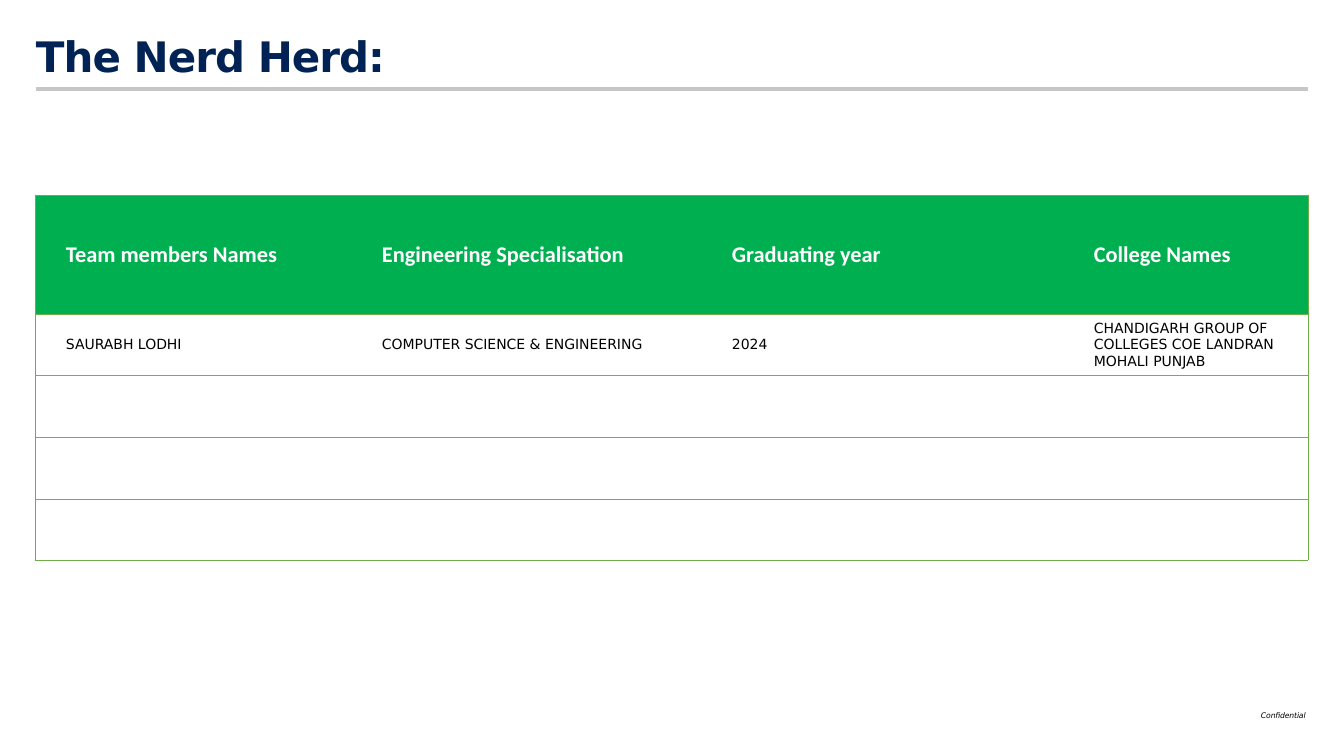
import pptx
import pptx.util
import pptx.dml.color
import pptx.enum.shapes
import pptx.enum.text
from pptx.oxml import parse_xml
from pptx.oxml.ns import nsdecls

COLORS = {
    "navy": "002254", "black": "000000", "white": "FFFFFF", "rule": "C6C6C6",
    "header": "00B050", "frame": "70AD47", "divider": "8C9A84",
}
ROWS = [
    ["Team members Names", "Engineering Specialisation", "Graduating year", "College Names"],
    ["SAURABH LODHI", "COMPUTER SCIENCE & ENGINEERING", "2024",
     "CHANDIGARH GROUP OF COLLEGES COE LANDRAN MOHALI PUNJAB"],
    [""] * 4,
    [""] * 4,
    [""] * 4,
]
COLUMN_WIDTHS = [316, 350, 362, 245]
ROW_HEIGHTS = [119, 61, 62, 62, 61]


def px(length):
    return pptx.util.Emu(round(length * 914400 / 100.8))


def rgb(name):
    return pptx.dml.color.RGBColor.from_string(COLORS[name])


class SlideBuilder:
    """Draw styled elements on one slide, with lengths in px."""

    def __init__(self, page, font):
        self.page = page
        self.font = font

    def span(self, para, text, size, color, font=None, bold=False, italic=False, spacing=0):
        span = para.add_run()
        span.text = text
        span.font.name = font or self.font
        span.font.size = pptx.util.Pt(size)
        span.font.bold = bold
        span.font.italic = italic
        span.font.color.rgb = rgb(color)
        if spacing:
            span.font._element.set("spc", str(spacing))

    def text(self, left, top, width, height, text, size, color, **style):
        box = self.page.shapes.add_textbox(px(left), px(top), px(width), px(height))
        frame = box.text_frame
        frame.word_wrap = True
        frame.margin_left = frame.margin_right = frame.margin_bottom = 0
        frame.margin_top = px(1)
        self.span(frame.paragraphs[0], text, size, color, **style)

    def rule(self, left, right, y, color, weight):
        line = self.page.shapes.add_connector(
            pptx.enum.shapes.MSO_CONNECTOR.STRAIGHT, px(left), px(y), px(right), px(y))
        line.line.color.rgb = rgb(color)
        line.line.width = pptx.util.Pt(weight)
        line._element.spPr.append(parse_xml(f"<a:effectLst {nsdecls('a')}/>"))

    def borders(self, cell, **sides):
        properties = cell._tc.get_or_add_tcPr()
        for side in "LRTB":
            color = sides.get(side)
            paint = (f'<a:solidFill><a:srgbClr val="{COLORS[color]}"/></a:solidFill>'
                     if color else "<a:noFill/>")
            properties.append(parse_xml(
                f'<a:ln{side} {nsdecls("a")} w="6350">{paint}</a:ln{side}>'))

    def table(self, left, top, widths, heights, rows):
        table = self.page.shapes.add_table(
            len(rows), len(widths), px(left), px(top), px(sum(widths)), px(sum(heights))).table
        table.first_row = table.horz_banding = False
        for column, width in zip(table.columns, widths):
            column.width = px(width)
        last_row, last_column = len(rows) - 1, len(widths) - 1
        for r, texts in enumerate(rows):
            table.rows[r].height = px(heights[r])
            for c, text in enumerate(texts):
                cell = table.cell(r, c)
                cell.vertical_anchor = pptx.enum.text.MSO_ANCHOR.MIDDLE
                cell.margin_left, cell.margin_right = px(31), px(1)
                cell.margin_top, cell.margin_bottom = px(1), 0
                self.borders(
                    cell,
                    L="frame" if c == 0 else None,
                    R="frame" if c == last_column else None,
                    T="frame" if r < 2 else "divider",
                    B="frame" if r in (0, last_row) else "divider")
                if r == 0:
                    cell.fill.solid()
                    cell.fill.fore_color.rgb = rgb("header")
                else:
                    cell.fill.background()
                para = cell.text_frame.paragraphs[0]
                if r == 0:
                    self.span(para, text, 16, "white", font="Calibri", bold=True)
                elif text:
                    self.span(para, text, 10, "black")


def main():
    deck = pptx.Presentation()
    deck.slide_width, deck.slide_height = px(1344), px(756)
    page = deck.slides.add_slide(deck.slide_layouts[6])
    builder = SlideBuilder(page, "DejaVu Sans")
    builder.rule(36, 1308, 89, "rule", 3)
    builder.text(36, 30, 952, 51, "The Nerd Herd:", 30, "navy", bold=True, spacing=-70)
    builder.table(35, 195, COLUMN_WIDTHS, ROW_HEIGHTS, ROWS)
    builder.text(1261, 710, 49, 10, "Confidential", 5.5, "black", italic=True, spacing=-10)
    deck.save("out.pptx")


if __name__ == "__main__":
    main()
